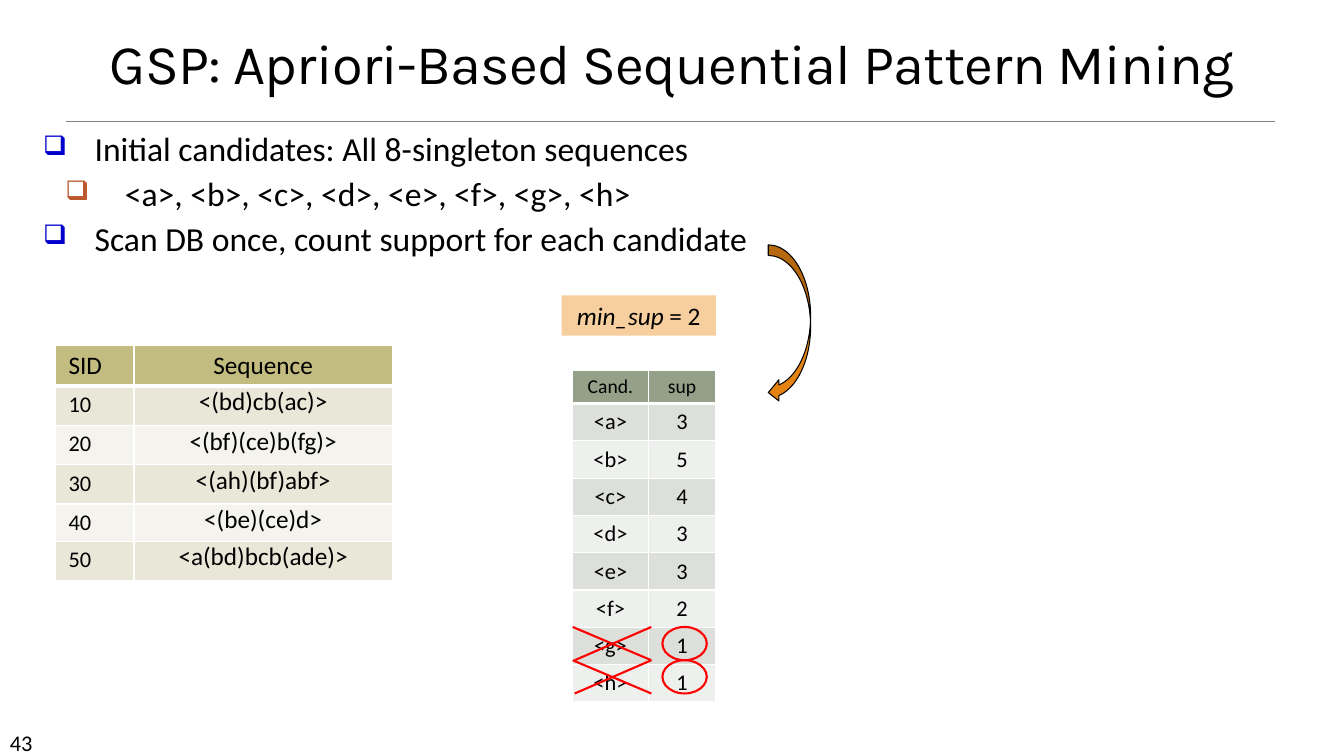
from dataclasses import dataclass

from lxml import etree
from pptx import Presentation
from pptx.dml.color import RGBColor
from pptx.enum import shapes, text
from pptx.oxml import ns
from pptx.util import Inches, Pt


@dataclass(frozen=True)
class Theme:
    title_font: str = "Karla"
    body_font: str = "Calibri"
    ink: str = "000000"
    white: str = "FFFFFF"
    rule: str = "808080"
    mark: str = "FF0000"
    arrow: str = "E48312"
    threshold: str = "F7CE9D"
    title_size: int = 40
    body_size: int = 24
    large_size: int = 18
    cell_size: int = 16
    small_size: int = 14


@dataclass(frozen=True)
class Bullet:
    words: str
    margin: float
    hanging: float
    color: str
    level: int = 0


@dataclass(frozen=True)
class Grid:
    left: float
    top: float
    columns: tuple[float, ...]
    heights: tuple[float, ...]
    rows: list[tuple[str, str]]
    header_fill: str
    bands: tuple[str, str]
    header_size: int
    sizes: tuple[int, int]
    centered: tuple[bool, bool]
    spacing: tuple[float, float]


THEME = Theme()
CENTER = text.PP_ALIGN.CENTER
BULLETS = [
    Bullet("Initial candidates: All 8-singleton sequences", 0.51, 0.51, "0000CC"),
    Bullet("<a>, <b>, <c>, <d>, <e>, <f>, <g>, <h>", 0.81, 0.59, "BD582C", 1),
    Bullet("Scan DB once, count support for each candidate", 0.51, 0.51, "0000CC"),
]
SEQUENCES = Grid(
    0.55, 3.43, (0.78, 2.56), (0.4, 0.39, 0.39, 0.39, 0.37, 0.39),
    [("SID", "Sequence"), ("10", "<(bd)cb(ac)>"), ("20", "<(bf)(ce)b(fg)>"),
     ("30", "<(ah)(bf)abf>"), ("40", "<(be)(ce)d>"), ("50", "<a(bd)bcb(ade)>")],
    "C2BC80", ("E9E7D8", "F4F3ED"), THEME.large_size,
    (THEME.cell_size, THEME.large_size), (False, True), (1.0, 0.8),
)
SUPPORTS = Grid(
    5.68, 3.67, (0.75, 0.67), (0.33,) + (0.37,) * 8,
    [("Cand.", "sup")] + [(f"<{name}>", count) for name, count in zip("abcdefgh", "35433211")],
    "94A088", ("DCDFDA", "EEF0ED"), THEME.small_size,
    (THEME.cell_size, THEME.cell_size), (True, True), (1.0, 1.0),
)
PRUNED_TOPS = (6.22, 6.55)
MARK_HEIGHT = 0.33


def rgb(color: str) -> RGBColor:
    return RGBColor.from_string(color)


def style(font, size: int, name: str = THEME.body_font) -> None:
    font.name, font.size, font.bold = name, Pt(size), False
    font.color.rgb = rgb(THEME.ink)


def add_child(parent, tag: str, **attributes: str):
    return etree.SubElement(parent, ns.qn(tag), attributes)


def add_box(page, left: float, top: float, width: float, height: float):
    box = page.shapes.add_textbox(Inches(left), Inches(top), Inches(width), Inches(height))
    box.text_frame.word_wrap = True
    return box.text_frame


def add_shape(page, kind, left: float, top: float, width: float, height: float,
              fill: str = "", line: str = "", weight: float = 1):
    shape = page.shapes.add_shape(kind, Inches(left), Inches(top), Inches(width), Inches(height))
    shape.shadow.inherit = False
    if fill:
        shape.fill.solid()
        shape.fill.fore_color.rgb = rgb(fill)
    else:
        shape.fill.background()
    if line:
        shape.line.color.rgb = rgb(line)
        shape.line.width = Pt(weight)
    else:
        shape.line.fill.background()
    return shape


def add_line(page, start: tuple[float, float], end: tuple[float, float],
             color: str, weight: float) -> None:
    line = page.shapes.add_connector(
        shapes.MSO_CONNECTOR.STRAIGHT, *(Inches(length) for length in start + end))
    line.line.color.rgb = rgb(color)
    line.line.width = Pt(weight)
    add_child(line.element.spPr, "a:effectLst")


def add_title(page) -> None:
    frame = add_box(page, 0, 0.42, 13.33, 0.58)
    frame.vertical_anchor = text.MSO_ANCHOR.BOTTOM
    para = frame.paragraphs[0]
    para.text = "GSP: Apriori-Based Sequential Pattern Mining"
    para.alignment, para.line_spacing = CENTER, 0.85
    span = para.runs[0]
    style(span.font, THEME.title_size, THEME.title_font)
    span.font._element.set("spc", "-50")


def add_bullets(page) -> None:
    frame = add_box(page, 0.33, 1.27, 8.22, 1.83)
    frame.text = "\n".join(bullet.words for bullet in BULLETS)
    for index, (para, bullet) in enumerate(zip(frame.paragraphs, BULLETS)):
        para.level = bullet.level
        properties = para._p.get_or_add_pPr()
        properties.set("marL", str(Inches(bullet.margin)))
        properties.set("indent", str(-Inches(bullet.hanging)))
        add_child(add_child(properties, "a:buClr"), "a:srgbClr", val=bullet.color)
        add_child(properties, "a:buSzPct", val="80000")
        add_child(properties, "a:buChar", char="❑")
        para.line_spacing = 0.9
        para.space_before = Pt(6 if index else 0)
        style(para.runs[0].font, THEME.body_size)


def add_borders(cell, bottom: float) -> None:
    properties = cell._tc.get_or_add_tcPr()
    for side, weight in zip("LRTB", (1, 1, 1, bottom)):
        border = add_child(properties, f"a:ln{side}", w=str(Pt(weight)))
        add_child(add_child(border, "a:solidFill"), "a:srgbClr", val=THEME.white)


def add_grid(page, grid: Grid) -> None:
    frame = page.shapes.add_table(
        len(grid.rows), len(grid.columns), Inches(grid.left), Inches(grid.top),
        Inches(sum(grid.columns)), Inches(sum(grid.heights)))
    table = frame.table
    for column, width in zip(table.columns, grid.columns):
        column.width = Inches(width)
    for row, (height, values) in enumerate(zip(grid.heights, grid.rows)):
        table.rows[row].height = Inches(height)
        header = row == 0
        for column, value in enumerate(values):
            cell = table.cell(row, column)
            cell.margin_left = cell.margin_right = Inches(0.13)
            add_borders(cell, 3 if header else 1)
            cell.fill.solid()
            cell.fill.fore_color.rgb = rgb(grid.header_fill if header else grid.bands[(row - 1) % 2])
            para = cell.text_frame.paragraphs[0]
            para.text = value
            if grid.centered[column]:
                para.alignment = CENTER
            if not header:
                para.line_spacing = grid.spacing[column]
            style(para.runs[0].font, grid.header_size if header else grid.sizes[column])


def add_threshold(page) -> None:
    box = add_shape(page, shapes.MSO_SHAPE.RECTANGLE, 5.57, 2.93, 1.53, 0.4, THEME.threshold)
    box.text_frame.word_wrap = False
    para = box.text_frame.paragraphs[0]
    para.alignment = CENTER
    for words, italic in (("min_sup ", True), ("= 2", False)):
        span = para.add_run()
        span.text = words
        style(span.font, THEME.large_size)
        span.font.italic = italic


def main() -> None:
    deck = Presentation()
    deck.slide_width, deck.slide_height = Inches(13.33), Inches(7.5)
    page = deck.slides.add_slide(deck.slide_layouts[6])
    add_line(page, (0.65, 1.2), (12.65, 1.2), THEME.rule, 0.5)
    number = add_box(page, 0, 7.18, 1.17, 0.3)
    number.text = "43"
    style(number.paragraphs[0].runs[0].font, THEME.cell_size)
    add_title(page)
    add_bullets(page)
    add_grid(page, SEQUENCES)
    add_threshold(page)
    add_grid(page, SUPPORTS)
    for top in PRUNED_TOPS:
        bottom = top + MARK_HEIGHT
        add_line(page, (5.68, top), (6.46, bottom), THEME.mark, 1.5)
        add_line(page, (5.7, bottom), (6.46, top), THEME.mark, 1.5)
    arrow = add_shape(page, shapes.MSO_SHAPE.CURVED_RIGHT_ARROW, 7.62, 2.43, 0.42, 1.57,
                      THEME.arrow, THEME.ink, 0.75)
    arrow.element.spPr.xfrm.set("flipH", "1")
    for top in PRUNED_TOPS:
        add_shape(page, shapes.MSO_SHAPE.OVAL, 6.57, top, 0.44, MARK_HEIGHT,
                  line=THEME.mark, weight=1.5)
    deck.save("out.pptx")


if __name__ == "__main__":
    main()
